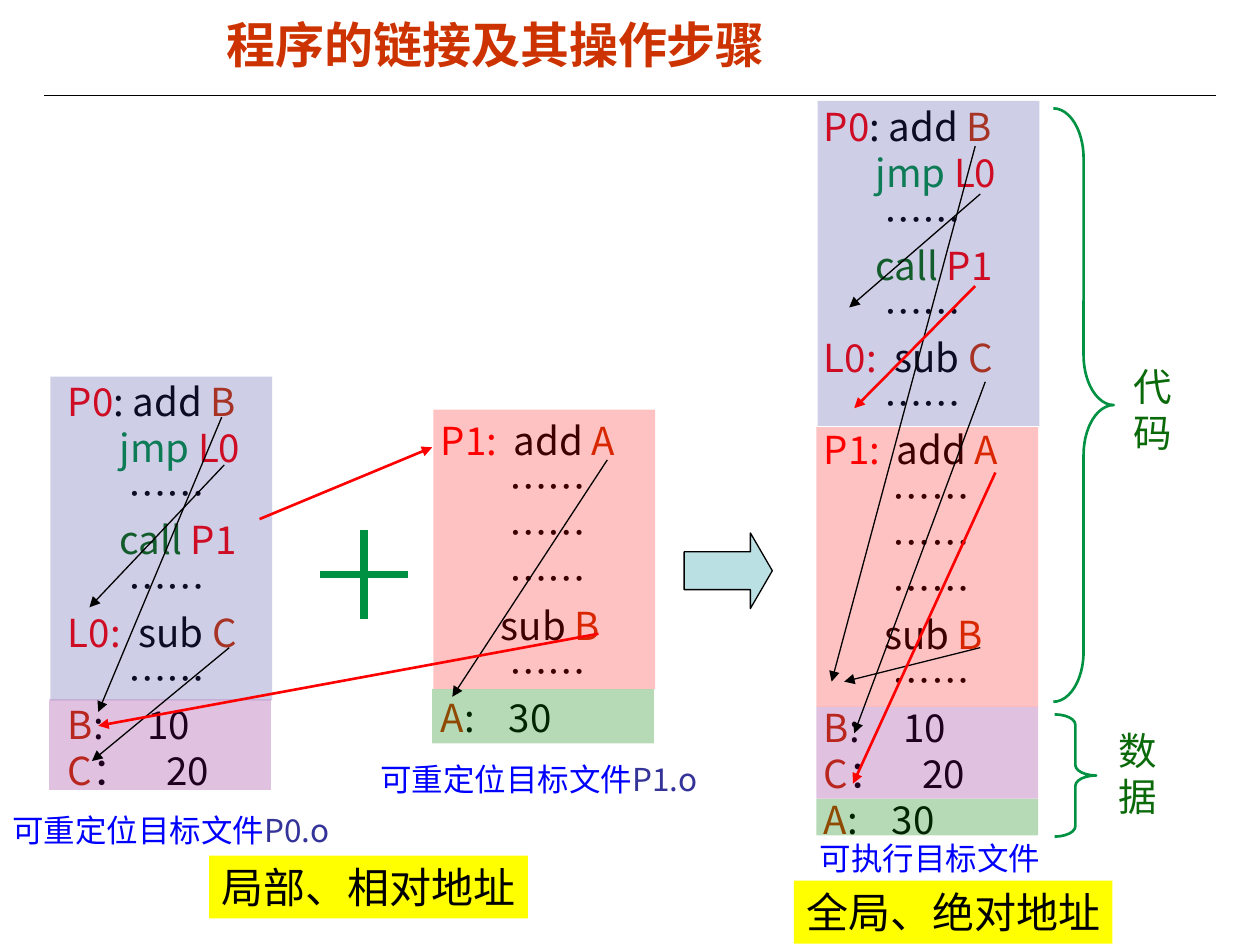
"""Build a slide on how object files are linked into an executable."""
from pptx import Presentation
from pptx.dml.color import RGBColor
from pptx.enum.shapes import MSO_CONNECTOR, MSO_SHAPE
from pptx.enum.text import MSO_ANCHOR
from pptx.oxml.ns import qn
from pptx.util import Inches, Pt
from lxml.etree import SubElement

STRAIGHT = MSO_CONNECTOR.STRAIGHT
RECT, ARROW, BRACE = MSO_SHAPE.RECTANGLE, MSO_SHAPE.RIGHT_ARROW, MSO_SHAPE.RIGHT_BRACE
MIDDLE, TOP = MSO_ANCHOR.MIDDLE, MSO_ANCHOR.TOP

BLACK = RGBColor(0, 0, 0)
RED = RGBColor(255, 0, 0)
RUST = RGBColor(0xCC, 0x33, 0x00)
GREEN = RGBColor(0x00, 0x92, 0x42)
DARK = RGBColor(0x0A, 0x6A, 0x0A)
LEAF = RGBColor(0x00, 0x80, 0x00)
BLUE = RGBColor(0x00, 0x00, 0xFF)
NAVY = RGBColor(0x33, 0x33, 0x99)
PLUM = RGBColor(0x80, 0x00, 0x80)
TEAL = RGBColor(0xBB, 0xE0, 0xE3)
YELLOW = RGBColor(0xFF, 0xFF, 0x00)
NOTO = "Noto Sans CJK SC"

DOTS = [("       ……", BLACK)]
WIDE = [("        ……", BLACK)]
CODE0 = [
    [("P0", RED), (": add ", BLACK), ("B", RUST)],
    [("      jmp ", GREEN), ("L0", RED)],
    DOTS,
    [("      call ", DARK), ("P1", RED)],
    DOTS,
    [("L0:\t", RED), ("sub ", BLACK), ("C", RUST)],
    DOTS,
]
CODE1 = [
    [("P1:\t", RED), ("add ", BLACK), ("A", RUST)],
    WIDE, WIDE, WIDE,
    [("       sub ", BLACK), ("B", RUST)],
    WIDE,
]
DATA0 = [[("B", RUST), (":\t10", BLACK)], [("C", RUST), ("：\t20", BLACK)]]
DATA1 = [[("A", RUST), (":\t30", BLACK)]]
STOPS = {"L0:\t": 0.56, "P1:\t": 0.58, ":\t10": 0.63, "：\t20": 0.78, ":\t30": 0.54}

LISTS = [
    ((6.44, 0.77, 2.05, 5.97), CODE0 + CODE1 + DATA0 + DATA1),
    ((3.4, 3.26, 1.9, 2.67), CODE1 + DATA1),
    ((0.44, 2.95, 2.05, 3.4), CODE0 + DATA0),
]
BANDS = [
    (6.49, 0.8, 2.58, NAVY, 24), (6.48, 3.39, 2.22, RED, 24),
    (6.48, 5.61, 0.73, PLUM, 24), (6.48, 6.34, 0.29, LEAF, 29),
    (3.44, 3.25, 2.22, RED, 24), (3.43, 5.47, 0.43, LEAF, 29),
    (0.4, 2.99, 2.57, NAVY, 24), (0.39, 5.55, 0.72, PLUM, 24),
]
BAND_W = 1.76
CAPTIONS = [
    ((2.92, 5.98, 2.79, 0.4), "可重定位目标文件", "P1.o"),
    ((0, 6.39, 2.79, 0.4), "可重定位目标文件", "P0.o"),
    ((6.41, 6.61, 2.8, 0.4), "可执行目标文件", ""),
]
BRACES = [
    ((8.36, 0.86, 0.48, 4.71), 0.83, (8.9, 2.83, 0.7, 0.84), "代码"),
    ((8.37, 5.67, 0.33, 0.97), 0.25, (8.78, 5.72, 0.7, 0.84), "数据"),
]
TAGS = [((1.66, 6.79, 2.53, 0.5), "局部、相对地址"),
        ((6.3, 6.99, 2.53, 0.5), "全局、绝对地址")]
PLAIN = [
    ((0.35, 0.76, 9.65, 0.76), BLACK, 0.75),
    ((2.54, 4.56, 3.24, 4.56), GREEN, 4.5),
    ((2.89, 4.21, 2.89, 4.91), GREEN, 4.5),
]
NEAR = [
    (7.74, 1.16, 6.6, 5.41), (7.78, 5.14, 6.7, 5.41), (7.82, 3.03, 6.78, 5.82),
    (7.78, 1.54, 6.74, 2.44), (1.78, 3.69, 0.71, 4.82), (1.76, 3.31, 0.78, 5.65),
    (1.82, 5.14, 0.73, 6.04), (4.82, 3.65, 3.59, 5.53),
]
FAR = [
    (7.9, 3.75, 6.77, 6.22), (7.74, 2.27, 6.78, 3.24),
    (2.06, 4.12, 3.43, 3.55), (4.75, 5.03, 0.78, 5.76),
]

deck = Presentation()
deck.slide_width, deck.slide_height = Inches(10), Inches(7.5)
shapes = deck.slides.add_slide(deck.slide_layouts[6]).shapes


def inch(box):
    return [Inches(v) for v in box]


def add_run(para, text, color, size, face=NOTO, bold=False):
    run = para.add_run()
    run.text = text
    form = {"size": Pt(size), "name": face, "bold": bold}
    for key, value in form.items():
        setattr(run.font, key, value)
    run.font.color.rgb = color
    SubElement(run.font._element, qn("a:ea")).set("typeface", NOTO)


def add_text(box, lines, size, face=NOTO, bold=False, anchor=TOP):
    frame = shapes.add_textbox(*inch(box)).text_frame
    frame.word_wrap = True
    frame.vertical_anchor = anchor
    for i, line in enumerate(lines):
        para = frame.add_paragraph() if i else frame.paragraphs[0]
        for text, color in line:
            if text in STOPS:
                tabs = SubElement(para._p.get_or_add_pPr(), qn("a:tabLst"))
                stop = SubElement(tabs, qn("a:tab"))
                stop.set("pos", str(Inches(STOPS[text])))
                stop.set("algn", "l")
            add_run(para, text, color, size, face, bold)
    return frame


def add_shape(kind, box, fill=None, line=None, width=0.75):
    shape = shapes.add_shape(kind, *inch(box))
    shape.shadow.inherit = False
    if fill is None:
        shape.fill.background()
    else:
        shape.fill.solid()
        shape.fill.fore_color.rgb = fill
    if line is None:
        shape.line.fill.background()
    else:
        shape.line.color.rgb = line
        shape.line.width = Pt(width)
    return shape


def add_line(ends, color, width, head=False):
    line = shapes.add_connector(STRAIGHT, *inch(ends))
    line.line.color.rgb = color
    line.line.width = Pt(width)
    if head:
        SubElement(line.line._get_or_add_ln(), qn("a:tailEnd")).set("type", "triangle")
    SubElement(line._element.spPr, qn("a:effectLst"))


title = add_text((1.7, 0.1, 6.79, 0.58), [[("程序的链接及其操作步骤", RUST)]],
                 28, "Arial", True, MIDDLE)
title.paragraphs[0].line_spacing = 0.8

for box, lines in LISTS:
    add_text(box, lines, 22)
for left, top, high, color, alpha in BANDS:
    band = add_shape(RECT, (left, top, BAND_W, high), color)
    tint = band._element.spPr.find(".//" + qn("a:srgbClr"))
    SubElement(tint, qn("a:alpha")).set("val", str(alpha * 1000))

for box, bend, spot, text in BRACES:
    brace = add_shape(BRACE, box, None, GREEN, 1.5)
    brace.adjustments[0] = bend
    add_text(spot, [[(text, DARK)]], 22, "Arial")

arrow = add_shape(ARROW, (5.43, 4.23, 0.7, 0.6), TEAL, BLACK)
arrow.adjustments[1] = 0.29

for ends, color, width in PLAIN:
    add_line(ends, color, width)
for group, color, width in ((NEAR, BLACK, 0.75), (FAR, RED, 1.5)):
    for ends in group:
        add_line(ends, color, width, True)

for box, text, name in CAPTIONS:
    para = add_text(box, [[(text, BLUE)]], 18, "Calibri").paragraphs[0]
    if name:
        add_run(para, name, NAVY, 18)
for box, text in TAGS:
    frame = add_shape(RECT, box, YELLOW).text_frame
    frame.word_wrap = False
    frame.vertical_anchor = TOP
    para = frame.paragraphs[0]
    para.alignment = 1
    add_run(para, text, BLACK, 24)

deck.save("out.pptx")
